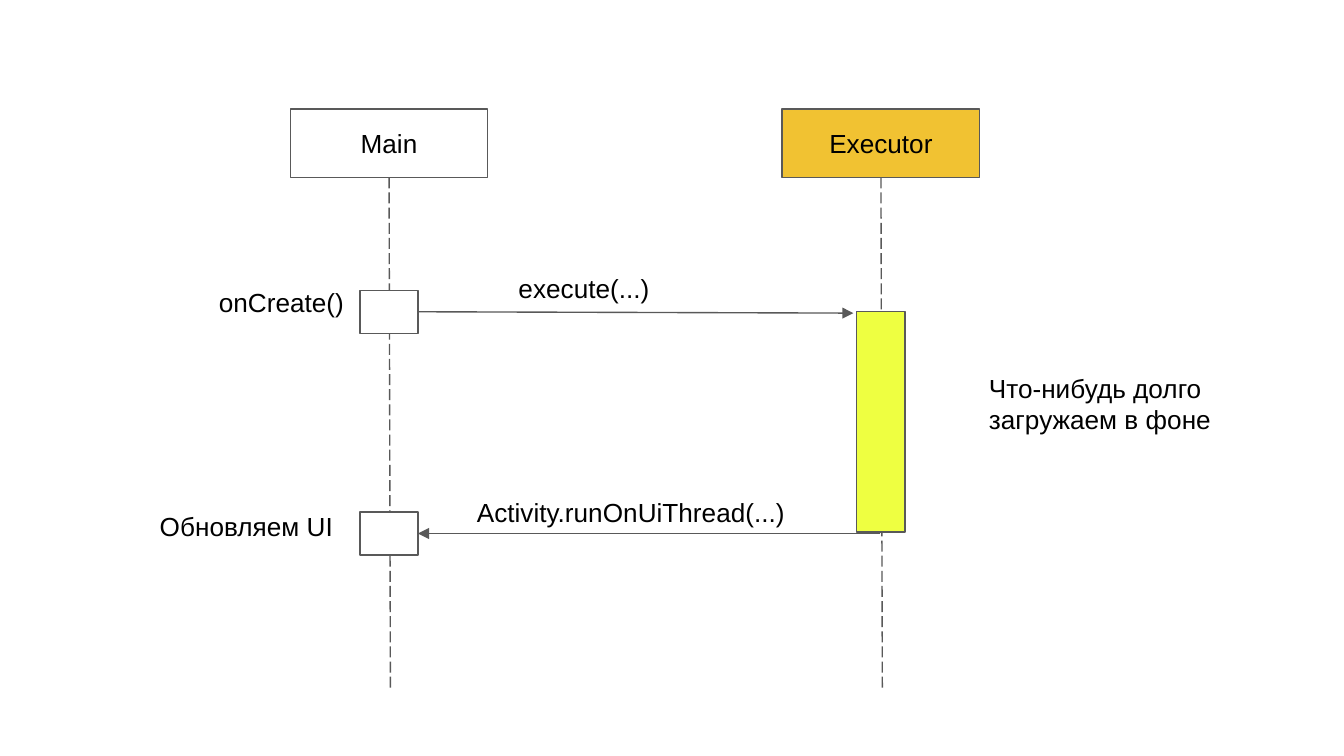
from lxml import etree
from pptx import Presentation
from pptx import util as u
from pptx.dml.color import RGBColor
from pptx.enum import dml, shapes, text
from pptx.oxml.ns import qn

COLORS = {
    "line": "595959",
    "text": "000000",
    "main": "FFFFFF",
    "executor": "F1C232",
    "work": "EEFF41",
}
SLIDE_WIDTH = 10
LINE_WIDTH = u.Pt(0.75)
LIFELINE_END = 5.13


def color(name):
    return RGBColor.from_string(COLORS[name])


def write(frame, wording, align, anchor):
    frame.word_wrap = True
    frame.vertical_anchor = anchor
    frame.margin_left = frame.margin_right = u.Inches(0.1)
    frame.margin_top = frame.margin_bottom = u.Inches(0.1)
    paragraph = frame.paragraphs[0]
    paragraph.text = wording
    paragraph.alignment = align
    paragraph.font.name = "Arial"
    paragraph.font.size = u.Pt(14)
    paragraph.font.color.rgb = color("text")


def add_box(slide, box, fill):
    rectangle = slide.shapes.add_shape(
        shapes.MSO_SHAPE.RECTANGLE, *map(u.Inches, box))
    rectangle.shadow.inherit = False
    rectangle.fill.solid()
    rectangle.fill.fore_color.rgb = color(fill)
    rectangle.line.color.rgb = color("line")
    rectangle.line.width = LINE_WIDTH
    return rectangle


def add_line(slide, start, end, dashed=False, arrow=False):
    connector = slide.shapes.add_connector(
        shapes.MSO_CONNECTOR.STRAIGHT, *map(u.Inches, (*start, *end)))
    connector.line.color.rgb = color("line")
    connector.line.width = LINE_WIDTH
    if dashed:
        connector.line.dash_style = dml.MSO_LINE.LONG_DASH
    properties = connector.element.spPr
    if arrow:
        outline = properties.find(qn("a:ln"))
        etree.SubElement(outline, qn("a:tailEnd"), type="triangle")
    etree.SubElement(properties, qn("a:effectLst"))


def add_label(slide, box, wording):
    label = slide.shapes.add_textbox(*map(u.Inches, box))
    write(label.text_frame, wording, text.PP_ALIGN.LEFT, text.MSO_ANCHOR.TOP)


def add_message(slide, start, end, label_box, wording):
    add_line(slide, start, end, arrow=True)
    add_label(slide, label_box, wording)


def add_participant(slide, box, name, fill, activations, activation_fill):
    left, top, width, height = box
    header = add_box(slide, box, fill)
    write(header.text_frame, name, text.PP_ALIGN.CENTER, text.MSO_ANCHOR.MIDDLE)
    center = left + width / 2
    add_line(slide, (center, top + height), (center + 0.01, LIFELINE_END), dashed=True)
    for activation_top, activation_width, activation_height in activations:
        activation_left = center - activation_width / 2
        add_box(slide, (activation_left, activation_top,
                        activation_width, activation_height), activation_fill)


def main():
    deck = Presentation()
    deck.slide_width = u.Inches(SLIDE_WIDTH)
    deck.slide_height = u.Inches(SLIDE_WIDTH * 9 / 16)
    slide = deck.slides.add_slide(deck.slide_layouts[6])

    add_message(slide, (3.11, 2.32), (6.35, 2.33),
                (3.76, 1.93, 1.94, 0.4), "execute(...)")
    add_message(slide, (6.55, 3.97), (3.11, 3.97),
                (3.45, 3.59, 2.6, 0.4), "Activity.runOnUiThread(...)")

    add_participant(slide, (2.16, 0.81, 1.47, 0.51), "Main", "main",
                    [(2.16, 0.43, 0.32), (3.81, 0.43, 0.32)], "main")
    add_participant(slide, (5.82, 0.81, 1.47, 0.51), "Executor", "executor",
                    [(2.32, 0.36, 1.64)], "work")

    add_label(slide, (1.53, 2.03, 1.15, 0.4), "onCreate()")
    add_label(slide, (1.09, 3.7, 1.55, 0.4), "Обновляем UI")
    add_label(slide, (7.26, 2.67, 1.94, 0.7), "Что-нибудь долго загружаем в фоне")

    deck.save("out.pptx")


if __name__ == "__main__":
    main()
